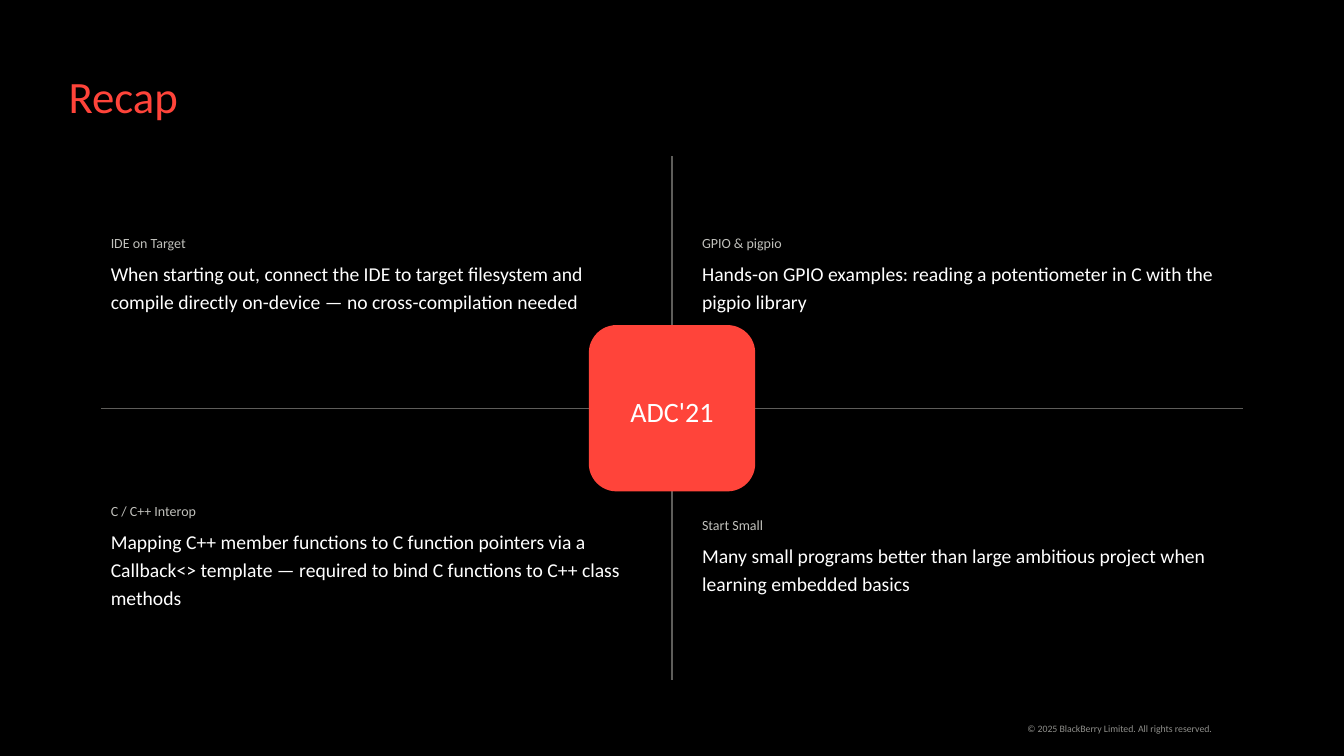
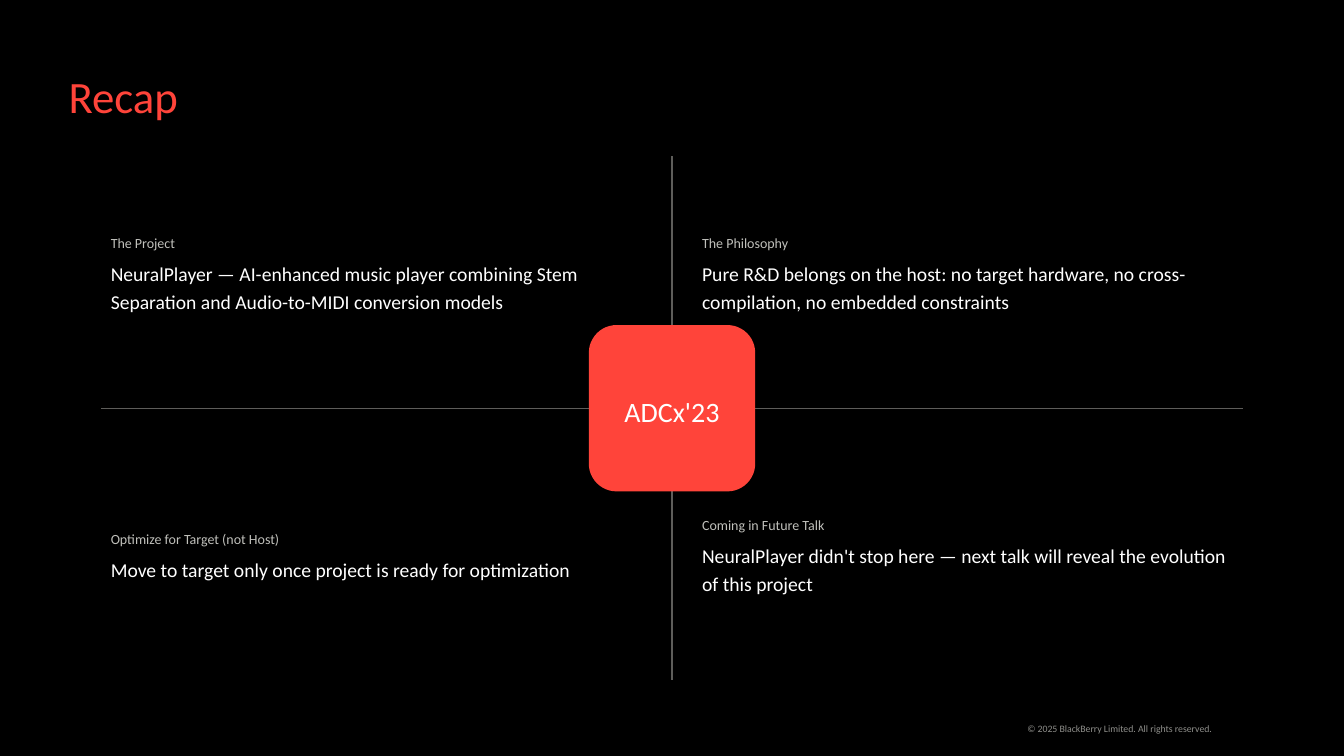
from dataclasses import dataclass
from itertools import product

from lxml.etree import SubElement
from pptx import Presentation
from pptx.dml.color import RGBColor
from pptx.enum.shapes import MSO_CONNECTOR as Connector, MSO_SHAPE as Shape
from pptx.enum.text import MSO_ANCHOR as Anchor, MSO_AUTO_SIZE as AutoSize, PP_ALIGN as Align
from pptx.oxml.ns import qn
from pptx.util import Inches, Pt


@dataclass(frozen=True)
class Theme:
    font: str = "Calibri"
    background: str = "000000"
    accent: str = "FF443A"
    text: str = "FFFFFF"
    label: str = "C0C0BB"
    footer: str = "8F8F8B"
    rule: str = "5E5D5A"
    title_size: int = 32
    badge_size: int = 20
    body_size: int = 14
    label_size: int = 10
    footer_size: int = 7


THEME = Theme()
WIDTH, HEIGHT = 13.33, 7.5
LEFT, RIGHT = 1, WIDTH - 1
TOP, BOTTOM = 1.55, 6.75
CENTRE_X, CENTRE_Y = WIDTH / 2, 4.05
GAP = 0.2
BADGE_SIDE = 1.65
TITLE_ONLY = 5
FOOTER = "© 2025 BlackBerry Limited. All rights reserved."

RECAPS = [
    ("ADC'21", [
        ("IDE on Target", "When starting out, connect the IDE to target filesystem and "
                          "compile directly on-device — no cross-compilation needed"),
        ("GPIO & pigpio", "Hands-on GPIO examples: reading a potentiometer in C with the "
                          "pigpio library"),
        ("C / C++ Interop", "Mapping C++ member functions to C function pointers via a "
                            "Callback<> template — required to bind C functions to C++ class methods"),
        ("Start Small", "Many small programs better than large ambitious project when "
                        "learning embedded basics"),
    ]),
    ("ADCx'23", [
        ("The Project", "NeuralPlayer — AI-enhanced music player combining Stem "
                        "Separation and Audio-to-MIDI conversion models"),
        ("The Philosophy", "Pure R&D belongs on the host: no target hardware, no "
                           "cross-compilation, no embedded constraints"),
        ("Optimize for Target (not Host)", "Move to target only once project is ready for optimization"),
        ("Coming in Future Talk", "NeuralPlayer didn't stop here — next talk will reveal "
                                  "the evolution of this project"),
    ]),
]


def color(value):
    return RGBColor.from_string(value)


def box(left, top, width, height):
    return [Inches(length) for length in (left, top, width, height)]


def style_font(paragraph, size, value):
    for run in paragraph.runs:
        run.font.name = THEME.font
        run.font.size = Pt(size)
        run.font.color.rgb = color(value)


def write_lines(text_frame, lines, align=Align.LEFT):
    """Fill a vertically centred frame; each line is (text, size, colour)."""
    text_frame.word_wrap = True
    text_frame.vertical_anchor = Anchor.MIDDLE
    for index, (text, size, value) in enumerate(lines):
        paragraph = text_frame.add_paragraph() if index else text_frame.paragraphs[0]
        paragraph.text = text
        paragraph.alignment = align
        paragraph.line_spacing = 1.2
        paragraph.space_before = Pt(2 if index else 0)
        paragraph.space_after = Pt(2)
        style_font(paragraph, size, value)


def remove_margins(text_frame):
    text_frame.margin_left = text_frame.margin_right = 0
    text_frame.margin_top = text_frame.margin_bottom = 0


def prepare_layout(presentation):
    """Set the shared background and title position."""
    fill = presentation.slide_master.background.fill
    fill.solid()
    fill.fore_color.rgb = color(THEME.background)
    layout = presentation.slide_layouts[TITLE_ONLY]
    title = layout.placeholders[0]
    title.left, title.top, title.width, title.height = box(0.68, 0.68, 11.97, 0.55)
    remove_margins(title.text_frame)
    title.text_frame.vertical_anchor = Anchor.TOP
    title.text_frame.auto_size = AutoSize.NONE
    return layout


def add_title(slide, text):
    text_frame = slide.shapes.title.text_frame
    text_frame.text = text
    paragraph = text_frame.paragraphs[0]
    paragraph.alignment = Align.LEFT
    style_font(paragraph, THEME.title_size, THEME.accent)


def add_footer(slide):
    text_frame = slide.shapes.add_textbox(*box(9.5, 7.14, 2.52, 0.16)).text_frame
    remove_margins(text_frame)
    write_lines(text_frame, [(FOOTER, THEME.footer_size, THEME.footer)], Align.RIGHT)


def add_rule(slide, *ends):
    rule = slide.shapes.add_connector(Connector.STRAIGHT, *box(*ends))
    rule.line.color.rgb = color(THEME.rule)
    rule.line.width = Pt(0.75)
    SubElement(rule._element.spPr, qn("a:effectLst"))


def add_badge(slide, text):
    badge = slide.shapes.add_shape(Shape.ROUNDED_RECTANGLE, *box(
        CENTRE_X - BADGE_SIDE / 2, CENTRE_Y - BADGE_SIDE / 2, BADGE_SIDE, BADGE_SIDE))
    badge.shadow.inherit = False
    badge.fill.solid()
    badge.fill.fore_color.rgb = color(THEME.accent)
    badge.line.fill.background()
    write_lines(badge.text_frame, [(text, THEME.badge_size, THEME.text)], Align.CENTER)


def add_quadrants(slide, topics):
    columns = [(LEFT, CENTRE_X - GAP), (CENTRE_X + GAP, RIGHT)]
    rows = [(TOP, CENTRE_Y - GAP), (CENTRE_Y + GAP, BOTTOM)]
    for ((top, bottom), (left, right)), (label, body) in zip(product(rows, columns), topics):
        quadrant = slide.shapes.add_textbox(*box(left, top, right - left, bottom - top))
        write_lines(quadrant.text_frame, [
            (label, THEME.label_size, THEME.label),
            (body, THEME.body_size, THEME.text),
        ])


def add_recap(presentation, layout, event, topics):
    slide = presentation.slides.add_slide(layout)
    add_footer(slide)
    add_title(slide, "Recap")
    add_rule(slide, LEFT, CENTRE_Y, RIGHT, CENTRE_Y)
    add_rule(slide, CENTRE_X, TOP, CENTRE_X, BOTTOM)
    add_badge(slide, event)
    add_quadrants(slide, topics)


def main():
    presentation = Presentation()
    presentation.slide_width, presentation.slide_height = Inches(WIDTH), Inches(HEIGHT)
    layout = prepare_layout(presentation)
    for event, topics in RECAPS:
        add_recap(presentation, layout, event, topics)
    presentation.save("out.pptx")


if __name__ == "__main__":
    main()
